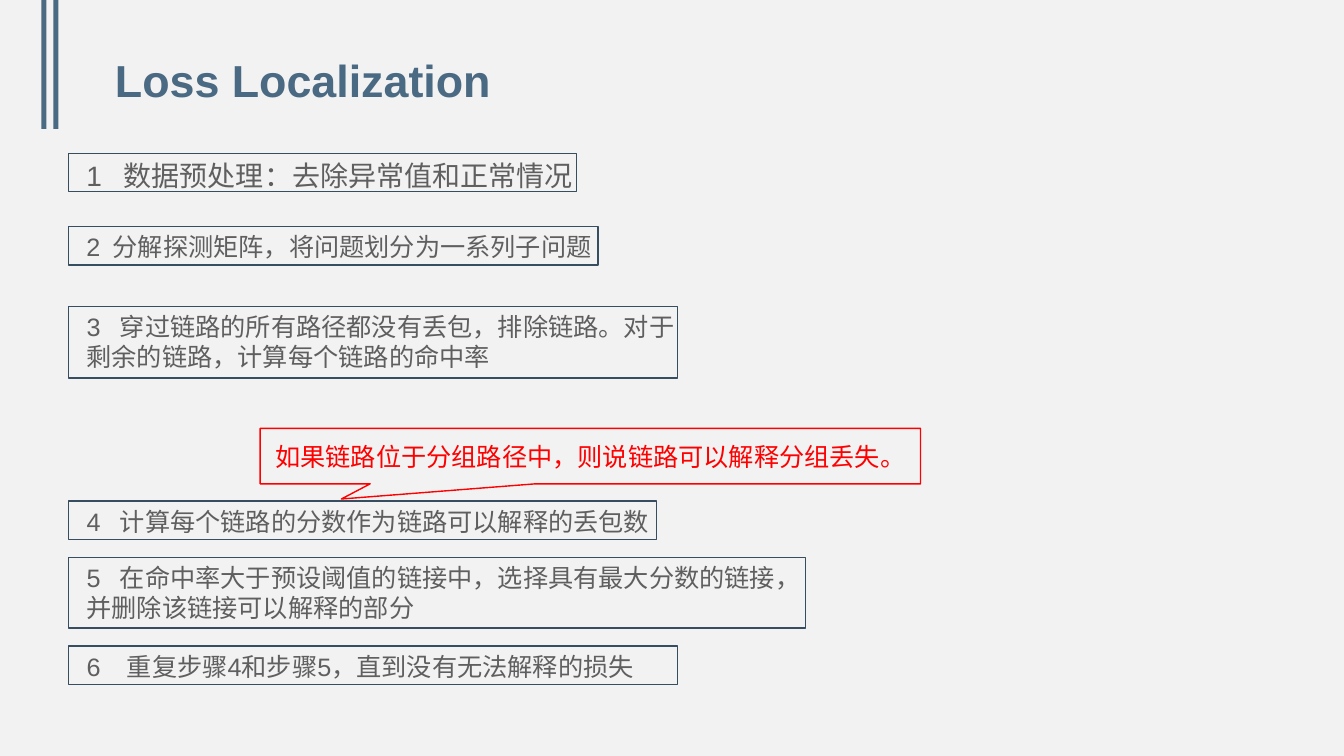
from dataclasses import dataclass

from lxml.etree import SubElement
from pptx import Presentation
from pptx.dml.color import RGBColor
from pptx.enum.shapes import MSO_SHAPE as Preset
from pptx.enum.text import MSO_ANCHOR as Anchor, MSO_AUTO_SIZE as AutoSize, PP_ALIGN as Align
from pptx.oxml.ns import qn
from pptx.util import Inches, Pt


@dataclass(frozen=True)
class Theme:
    background: str = "F2F2F2"
    accent: str = "4A6982"
    frame: str = "374E60"
    body: str = "5F5F5F"
    alert: str = "FF0000"
    latin: str = "Arial"
    cjk: str = "Noto Sans CJK SC"
    title_size: int = 32
    lead_size: int = 20
    step_size: int = 18
    line_width: int = 1


THEME = Theme()
FRAME_LEFT = 0.68
TEXT_LEFT = 0.76

# text, top, text width, text height, frame width, frame height, tab, size
STEPS = [
    ("1\t数据预处理：去除异常值和正常情况", 1.52, 7.23, 0.44, 5.04, 0.38, 0.37, THEME.lead_size),
    ("2\t分解探测矩阵，将问题划分为一系列子问题", 2.25, 6.07, 0.4, 5.25, 0.38, 0.26, THEME.step_size),
    ("3\t穿过链路的所有路径都没有丢包，排除链路。对于剩余的链路，计算每个链路的命中率",
     3.04, 6.11, 0.71, 6.04, 0.71, 0.33, THEME.step_size),
    ("4\t计算每个链路的分数作为链路可以解释的丢包数", 4.97, 7.02, 0.4, 5.83, 0.38, 0.33, THEME.step_size),
    ("5\t在命中率大于预设阈值的链接中，选择具有最大分数的链接，并删除该链接可以解释的部分",
     5.53, 7.38, 0.71, 7.31, 0.7, 0.33, THEME.step_size),
    ("6\t重复步骤4和步骤5，直到没有无法解释的损失", 6.41, 6.18, 0.4, 6.04, 0.38, 0.4, THEME.step_size),
]


def set_all(target, values):
    for name, value in values.items():
        setattr(target, name, value)


def write(shape, text, size, color, font=THEME.latin, bold=False, **frame_format):
    frame = shape.text_frame
    set_all(frame, {"word_wrap": True, **frame_format})
    paragraph = frame.paragraphs[0]
    run = paragraph.add_run()
    run.text = text
    set_all(run.font, {"name": font, "size": Pt(size), "bold": bold})
    run.font.color.rgb = RGBColor.from_string(color)
    SubElement(run.font._element, qn("a:ea"), typeface=THEME.cjk)
    return paragraph


def add_text(slide, box, text, size, color, **options):
    return write(slide.shapes.add_textbox(*map(Inches, box)), text, size, color, **options)


def add_preset(slide, preset, box, fill=None, line=None):
    shape = slide.shapes.add_shape(preset, *map(Inches, box))
    shape.shadow.inherit = False
    if fill:
        shape.fill.solid()
        shape.fill.fore_color.rgb = RGBColor.from_string(fill)
    else:
        shape.fill.background()
    if line:
        shape.line.color.rgb = RGBColor.from_string(line)
        shape.line.width = Pt(THEME.line_width)
    else:
        shape.line.fill.background()
    return shape


def add_tab_stop(paragraph, position):
    stops = SubElement(paragraph._p.get_or_add_pPr(), qn("a:tabLst"))
    SubElement(stops, qn("a:tab"), pos=str(Inches(position)), algn="l")


def add_step(slide, text, top, width, height, frame_width, frame_height, tab, size):
    paragraph = add_text(slide, (TEXT_LEFT, top, width, height), text, size, THEME.body,
                         auto_size=AutoSize.SHAPE_TO_FIT_TEXT)
    add_tab_stop(paragraph, tab)
    add_preset(slide, Preset.RECTANGLE, (FRAME_LEFT, top, frame_width, frame_height),
               line=THEME.frame)


def add_heading(slide):
    for left in (0.41, 0.53):
        add_preset(slide, Preset.RECTANGLE, (left, 0, 0.05, 1.28), fill=THEME.accent)
    title = add_text(slide, (0.92, 0.43, 11.5, 0.79), "Loss Localization", THEME.title_size,
                     THEME.accent, bold=True, vertical_anchor=Anchor.MIDDLE,
                     margin_left=Inches(0.22))
    title.line_spacing = 0.9


def add_callout(slide, text):
    callout = add_preset(slide, Preset.RECTANGULAR_CALLOUT, (2.58, 4.25, 6.55, 0.55),
                         line=THEME.alert)
    callout.adjustments[0] = -0.377
    callout.adjustments[1] = 0.774
    note = write(callout, text, THEME.step_size, THEME.alert, font=THEME.cjk,
                 vertical_anchor=Anchor.MIDDLE)
    note.alignment = Align.CENTER


def main():
    deck = Presentation()
    set_all(deck, {"slide_width": Inches(13.33), "slide_height": Inches(7.5)})
    slide = deck.slides.add_slide(deck.slide_layouts[6])
    slide.background.fill.solid()
    slide.background.fill.fore_color.rgb = RGBColor.from_string(THEME.background)
    add_heading(slide)
    for step in STEPS:
        add_step(slide, *step)
    add_callout(slide, "如果链路位于分组路径中，则说链路可以解释分组丢失。")
    deck.save("out.pptx")


if __name__ == "__main__":
    main()
